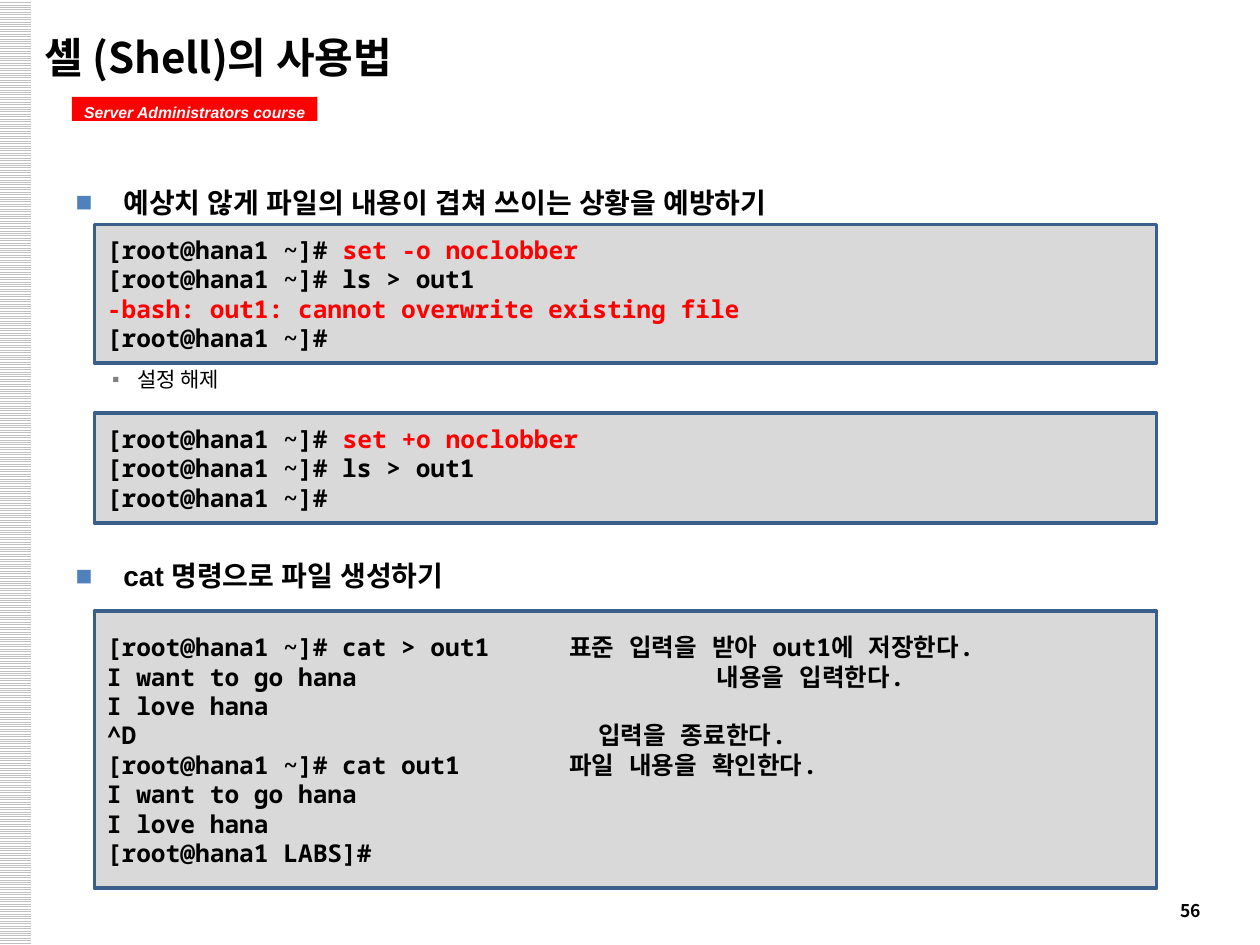
from dataclasses import dataclass

from lxml.etree import SubElement
from pptx import Presentation
from pptx.dml.color import RGBColor
from pptx.enum.dml import MSO_PATTERN
from pptx.enum.shapes import MSO_SHAPE as Shape
from pptx.enum.text import MSO_ANCHOR as Anchor, MSO_AUTO_SIZE as AutoSize, PP_ALIGN as Align
from pptx.oxml.ns import qn
from pptx.util import Inches, Pt

WIDTH, HEIGHT = Inches(10), Inches(7.5)
SANS, KOREAN, MONO = "Arial", "Noto Sans CJK KR", "Noto Sans Mono"
COLORS = {
    "text": "000000", "white": "FFFFFF", "red": "FF0000", "panel": "D9D9D9",
    "edge": "3A5F8C", "stripe": "C0C0C0", "square": "4F81BD", "dot": "808080",
}


@dataclass
class Area:
    """A rectangle in percent of the slide's width and height."""
    left: float
    top: float
    width: float
    height: float

    def lengths(self) -> tuple:
        return tuple(round(share * side / 100) for share, side in (
            (self.left, WIDTH), (self.top, HEIGHT),
            (self.width, WIDTH), (self.height, HEIGHT)))


@dataclass
class Style:
    font: str
    size: float
    bold: bool = True
    italic: bool = False


@dataclass
class Item:
    """A list entry; before and spacing set its vertical place."""
    text: str
    style: Style
    bullet: str
    bullet_color: str
    margin: float
    hanging: float
    before: float = 0
    spacing: float = 1.0
    level: int = 0


@dataclass
class Line:
    """A terminal line of (text, color) spans, with an optional note at a tab stop."""
    spans: list
    note: str = ""
    tab: float = 0


@dataclass
class Terminal:
    top: float
    height: float
    lines: list


HEADING = dict(style=Style(SANS, 16), bullet="■", bullet_color="square",
               margin=0.38, hanging=0.38, spacing=1.5)
ITEMS = [
    Item("예상치 않게 파일의 내용이 겹쳐 쓰이는 상황을 예방하기", **HEADING),
    Item("설정 해제", Style(KOREAN, 12, bold=False), "▪", "dot", 0.49, 0.2, before=84, level=1),
    Item("cat 명령으로 파일 생성하기", before=86, **HEADING),
]

PROMPT = "[root@hana1 ~]#"


def plain(text: str, note: str = "", tab: float = 0) -> Line:
    return Line([(text, "text")], note, tab)


def command(text: str) -> Line:
    return Line([(PROMPT + " ", "text"), (text, "red")])


LIST_FILES = plain(f"{PROMPT} ls > out1")
GREETING = "I want to go hana"
TERMINALS = [
    Terminal(23.73, 14.67, [
        command("set -o noclobber"), LIST_FILES,
        Line([("-bash: out1: cannot overwrite existing file", "red")]), plain(PROMPT)]),
    Terminal(43.73, 11.6, [command("set +o noclobber"), LIST_FILES, plain(PROMPT)]),
    Terminal(64.67, 29.33, [
        plain(f"{PROMPT} cat > out1", "표준 입력을 받아 out1에 저장한다.", 3.67),
        plain(GREETING, "내용을 입력한다.", 4.84),
        plain("I love hana"),
        plain("^D", "입력을 종료한다.", 3.9),
        plain(f"{PROMPT} cat out1", "파일 내용을 확인한다.", 3.67),
        plain(GREETING), plain("I love hana"), plain("[root@hana1 LABS]#")]),
]


def rgb(name: str) -> RGBColor:
    return RGBColor.from_string(COLORS[name])


def add_span(para, text: str, style: Style, color: str = "text") -> None:
    span = para.add_run()
    span.text = text
    font = span.font
    font.name, font.size = style.font, Pt(style.size)
    font.bold, font.italic = style.bold, style.italic
    font.color.rgb = rgb(color)
    SubElement(font._element, qn("a:ea"), typeface=style.font)


def next_para(frame, index: int):
    return frame.add_paragraph() if index else frame.paragraphs[0]


def move(shape, area: Area) -> None:
    shape.left, shape.top, shape.width, shape.height = area.lengths()


def add_box(page, area: Area, fill: str = ""):
    box = page.shapes.add_shape(Shape.RECTANGLE, *area.lengths())
    box.shadow.inherit = False
    box.line.fill.background()
    if fill:
        box.fill.solid()
        box.fill.fore_color.rgb = rgb(fill)
    return box


def add_bullet(para, item: Item) -> None:
    props = para._p.get_or_add_pPr()
    props.set("marL", str(Inches(item.margin)))
    props.set("indent", str(-Inches(item.hanging)))
    color = SubElement(props, qn("a:buClr"))
    SubElement(color, qn("a:srgbClr"), val=COLORS[item.bullet_color])
    SubElement(props, qn("a:buFont"), typeface=SANS)
    SubElement(props, qn("a:buChar"), char=item.bullet)


def fill_list(frame, items: list) -> None:
    frame.auto_size = AutoSize.NONE
    for index, item in enumerate(items):
        para = next_para(frame, index)
        para.level = item.level
        add_bullet(para, item)
        para.line_spacing = item.spacing
        para.space_before, para.space_after = Pt(item.before), Pt(0)
        add_span(para, item.text, item.style)


def add_terminal(page, terminal: Terminal) -> None:
    box = add_box(page, Area(7.5, terminal.top, 84.3, terminal.height), "panel")
    box.line.color.rgb, box.line.width = rgb("edge"), Pt(2)
    frame = box.text_frame
    frame.word_wrap, frame.vertical_anchor = True, Anchor.MIDDLE
    for index, line in enumerate(terminal.lines):
        para = next_para(frame, index)
        para.alignment = Align.LEFT
        if line.note:
            tabs = SubElement(para._p.get_or_add_pPr(), qn("a:tabLst"))
            SubElement(tabs, qn("a:tab"), pos=str(Inches(line.tab)), algn="l")
        for text, color in line.spans:
            add_span(para, text, Style(MONO, 14), color)
        if line.note:
            add_span(para, "\t" + line.note, Style(MONO, 14))


def main() -> None:
    deck = Presentation()
    deck.slide_width, deck.slide_height = WIDTH, HEIGHT
    page = deck.slides.add_slide(deck.slide_layouts[1])

    # Striped left margin
    stripe = add_box(page, Area(-0.1, 0, 2.6, 100))
    stripe.fill.patterned()
    stripe.fill.pattern = MSO_PATTERN.LIGHT_HORIZONTAL
    stripe.fill.fore_color.rgb, stripe.fill.back_color.rgb = rgb("stripe"), rgb("white")

    # Course tag
    tag = add_box(page, Area(5.7, 10.27, 19.5, 2.53), "red").text_frame
    tag.word_wrap, tag.vertical_anchor = False, Anchor.TOP
    tag.paragraphs[0].alignment = Align.CENTER
    add_span(tag.paragraphs[0], "Server Administrators course", Style(SANS, 9, italic=True), "white")

    # Page number
    number = page.shapes.add_textbox(*Area(92.7, 95.2, 7.3, 0.67).lengths()).text_frame
    number.word_wrap = True
    add_span(number.paragraphs[0], "56", Style(KOREAN, 10))

    # Title and list
    title, body = page.placeholders
    move(title, Area(2.5, 2, 92.5, 8))
    title.text_frame.vertical_anchor = Anchor.MIDDLE
    title.text_frame.paragraphs[0].alignment = Align.LEFT
    add_span(title.text_frame.paragraphs[0], "셸 (Shell)의 사용법", Style(KOREAN, 24))
    move(body, Area(5, 17.2, 92.2, 78.8))
    fill_list(body.text_frame, ITEMS)

    # Terminal panels
    for terminal in TERMINALS:
        add_terminal(page, terminal)

    deck.save("out.pptx")


if __name__ == "__main__":
    main()
